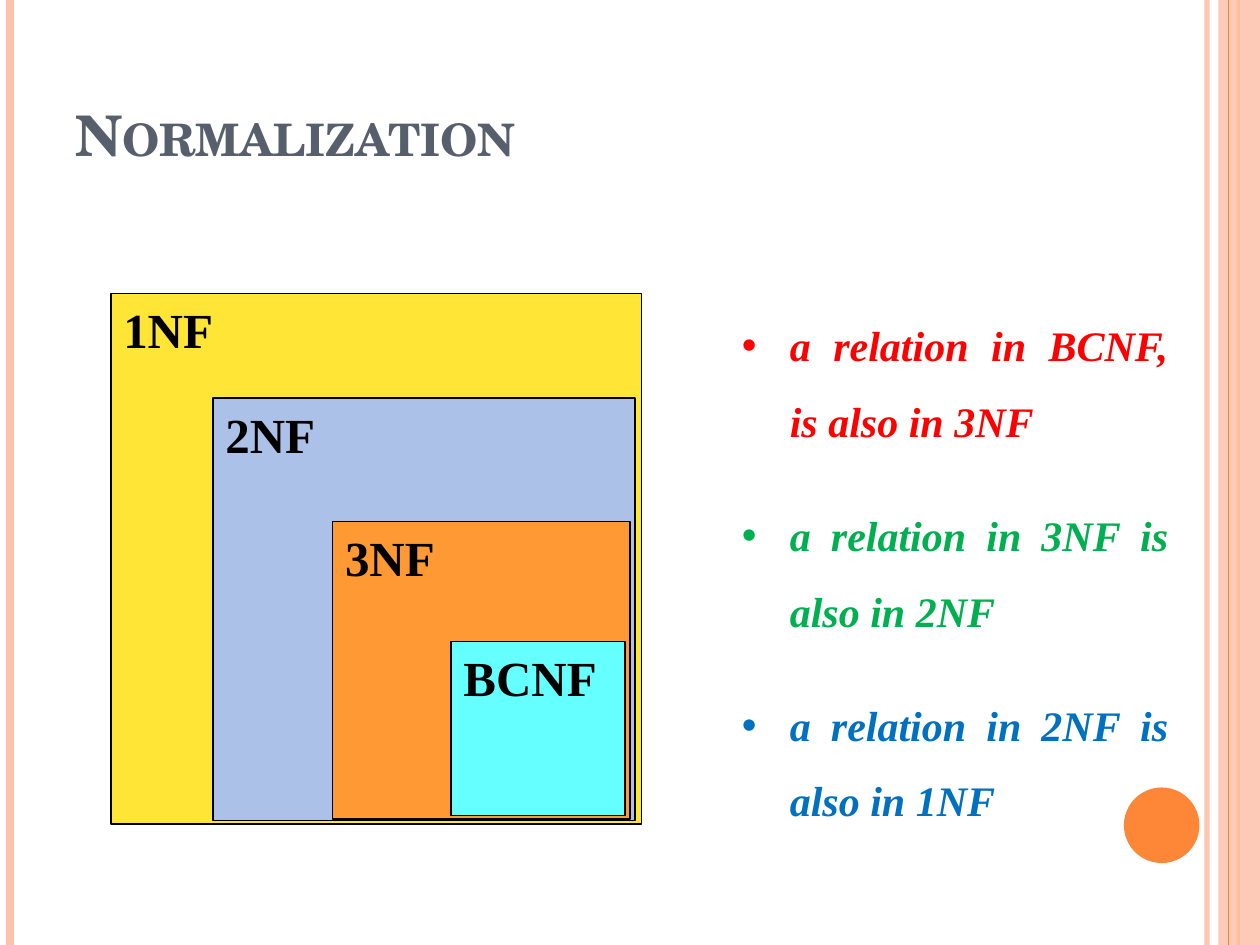
from lxml import etree
from pptx import Presentation
from pptx import util as u
from pptx.dml.color import RGBColor
from pptx.enum import shapes, text
from pptx.oxml import ns

SERIF = "Times New Roman"
PEACH = "FEC3AE"
ORANGE = "FE8637"


def color(value):
    return RGBColor.from_string(value)


def box_of(*lengths):
    return [u.Inches(length) for length in lengths]


def sub(parent, tag, **attributes):
    return etree.SubElement(parent, ns.qn(tag), attributes)


def set_alpha(shape, percent):
    for fill_color in shape._element.spPr.iter(ns.qn("a:srgbClr")):
        sub(fill_color, "a:alpha", val=str(percent * 1000))


def format_runs(paragraph, size, font, value, italic=False):
    for run in paragraph.runs:
        run.font.size = u.Pt(size)
        run.font.name = font
        run.font.bold = True
        run.font.italic = italic
        run.font.color.rgb = color(value)


def add_filled(slide, kind, box, value):
    shape = slide.shapes.add_shape(kind, *box_of(*box))
    shape.shadow.inherit = False
    shape.fill.solid()
    shape.fill.fore_color.rgb = color(value)
    shape.line.fill.background()
    return shape


def add_stripe(slide, x, top, height, value, width):
    stripe = slide.shapes.add_connector(
        shapes.MSO_CONNECTOR.STRAIGHT, *box_of(x, top, x, top + height))
    stripe.line.color.rgb = color(value)
    stripe.line.width = u.Pt(width)
    sub(stripe._element.spPr, "a:effectLst")
    return stripe


def add_frame(slide, left, top, width, height):
    right = left + width
    inner = add_stripe(slide, right - 0.42, top, height, PEACH, 3)
    set_alpha(inner, 93)
    add_stripe(slide, left + 0.08, top, height, PEACH, 4.5)
    add_stripe(slide, right - 0.17, top, height, ORANGE, 1.5)
    band = add_filled(slide, shapes.MSO_SHAPE.RECTANGLE,
                      (right - 0.33, top, 0.33, height), PEACH)
    set_alpha(band, 87)
    add_stripe(slide, right - 0.25, top, height, ORANGE, 0.75)
    add_filled(slide, shapes.MSO_SHAPE.OVAL,
               (right - 1.08, top + height - 1.25, 0.6, 0.6), ORANGE)


def add_title(slide, box, wording):
    frame = slide.shapes.add_textbox(*box_of(*box)).text_frame
    frame.word_wrap = True
    frame.vertical_anchor = text.MSO_ANCHOR.BOTTOM
    frame.text = wording
    heading = frame.paragraphs[0]
    format_runs(heading, 32, "TeX Gyre Schola", "575F6D")
    heading.runs[0].font._element.set("cap", "small")


def add_implications(slide, box, implications):
    frame = slide.shapes.add_textbox(*box_of(*box)).text_frame
    frame.word_wrap = True
    for index, (wording, value) in enumerate(implications):
        item = frame.add_paragraph() if index else frame.paragraphs[0]
        item.text = wording
        item.alignment = text.PP_ALIGN.JUSTIFY
        item.line_spacing = 1.5
        if index:
            item.space_before = u.Pt(22)
        format_runs(item, 24, SERIF, value, italic=True)
        properties = item._p.get_or_add_pPr()
        properties.set("marL", str(u.Inches(0.38)))
        properties.set("indent", str(-u.Inches(0.38)))
        sub(properties, "a:buFont", typeface="Arial")
        sub(properties, "a:buChar", char="•")


def add_nested_forms(slide, left, top, forms):
    for label, value, dx, dy, side in forms:
        form = add_filled(slide, shapes.MSO_SHAPE.RECTANGLE,
                          (left + dx, top + dy, side, side), value)
        form.line.color.rgb = color("000000")
        form.line.width = u.Pt(0.75)
        frame = form.text_frame
        frame.vertical_anchor = text.MSO_ANCHOR.TOP
        frame.text = label
        frame.paragraphs[0].alignment = text.PP_ALIGN.LEFT
        format_runs(frame.paragraphs[0], 28, SERIF, "000000")


def main():
    deck = Presentation()
    deck.slide_width, deck.slide_height = box_of(10, 7.5)
    slide = deck.slides.add_slide(deck.slide_layouts[6])
    add_frame(slide, 0, 0, 10, 7.5)
    add_title(slide, (0.5, 0.13, 8.17, 1.25), "Normalization")
    add_implications(slide, (5.79, 2.29, 3.58, 4.21), [
        ("a relation in BCNF, is also in 3NF", "FF0000"),
        ("a relation in 3NF is also in 2NF", "00B050"),
        ("a relation in 2NF is also in 1NF", "0070C0"),
    ])
    add_nested_forms(slide, 0.88, 2.33, [
        ("1NF", "FFE636", 0, 0, 4.21),
        ("2NF", "ACC1E8", 0.81, 0.83, 3.35),
        ("3NF", "FF9933", 1.76, 1.81, 2.36),
        ("BCNF", "66FFFF", 2.7, 2.76, 1.38),
    ])
    deck.save("out.pptx")


if __name__ == "__main__":
    main()
